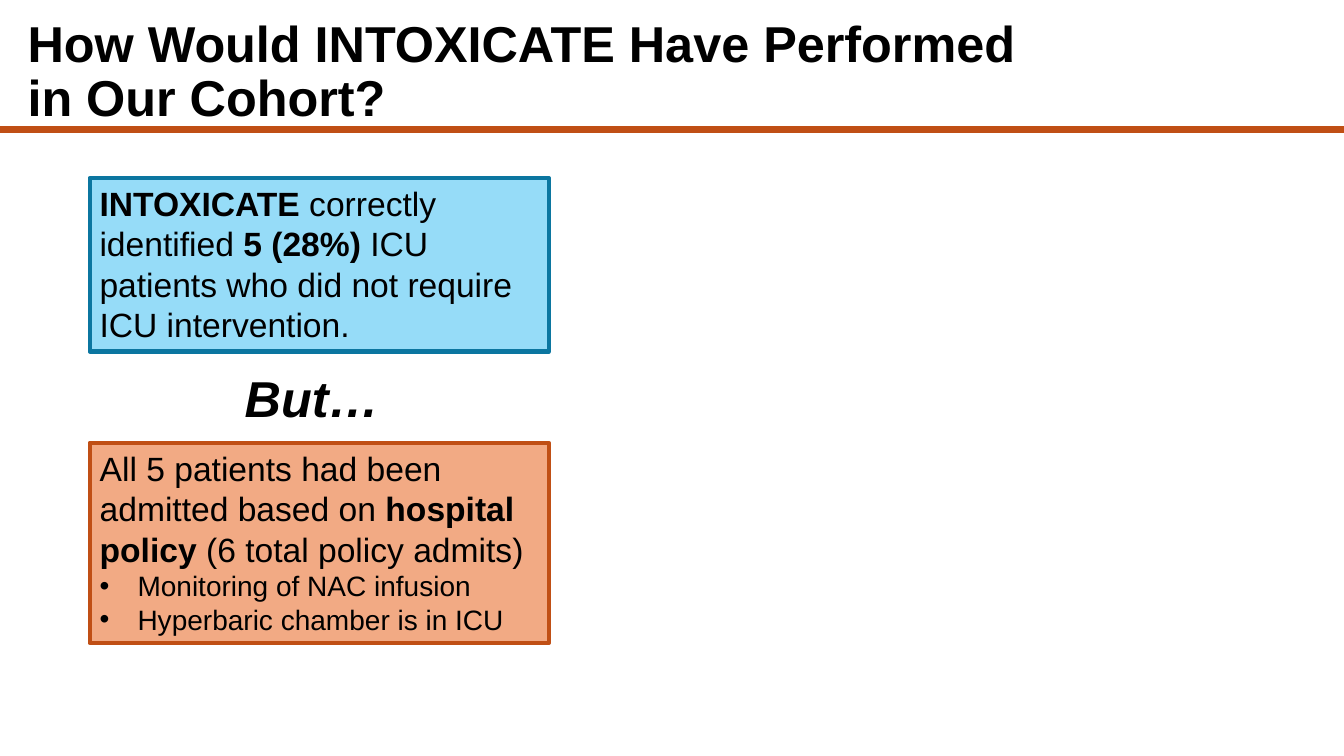
import pptx
import pptx.util
import pptx.dml.color
import pptx.enum.shapes
import pptx.enum.text
import pptx.oxml
import pptx.oxml.ns
from dataclasses import dataclass

Pt = pptx.util.Pt
Align = pptx.enum.text.PP_ALIGN
Anchor = pptx.enum.text.MSO_ANCHOR


@dataclass(frozen=True)
class Theme:
    font: str = "Arial"
    ink: str = "000000"
    rust: str = "C04F15"
    peach: str = "F2AA84"
    blue: str = "0B76A0"
    sky: str = "96DCF8"
    head: int = 36
    text: int = 24
    item: int = 20


class Page:
    def __init__(self, deck, theme):
        self.theme = theme
        self.slide = deck.slides.add_slide(deck.slide_layouts[1])

    def color(self, code):
        return pptx.dml.color.RGBColor.from_string(code)

    def place(self, shape, area):
        shape.left, shape.top, shape.width, shape.height = map(Pt, area)

    def paint(self, shape, fill, edge, width):
        shape.fill.solid()
        shape.fill.fore_color.rgb = self.color(fill)
        shape.line.color.rgb = self.color(edge)
        shape.line.width = Pt(width)

    def frame(self, shape, anchor=Anchor.TOP):
        frame = shape.text_frame
        frame.word_wrap = True
        frame.auto_size = pptx.enum.text.MSO_AUTO_SIZE.NONE
        frame.vertical_anchor = anchor
        return frame

    def fill(self, para, runs, size, italic=False, align=Align.LEFT):
        para.alignment = align
        para.space_before = Pt(0)
        for text, bold in runs:
            run = para.add_run()
            run.text = text.rstrip("\n")
            font = run.font
            font.name, font.size = self.theme.font, Pt(size)
            font.bold, font.italic = bold, italic
            font.color.rgb = self.color(self.theme.ink)
            if text.endswith("\n"):
                para.add_line_break()

    def bullet(self, para, mark=None, indent=0):
        props = para._p.get_or_add_pPr()
        props.set("marL", str(Pt(indent)))
        props.set("indent", str(-Pt(indent)))
        tag = pptx.oxml.ns.qn("a:buChar" if mark else "a:buNone")
        props.append(props.makeelement(tag, {"char": mark} if mark else {}))

    def title(self, area, runs):
        shape = self.slide.shapes.title
        self.place(shape, area)
        para = self.frame(shape, Anchor.MIDDLE).paragraphs[0]
        para.line_spacing = 0.9
        self.fill(para, runs, self.theme.head)

    def block(self, area, fill, edge, width):
        kind = pptx.enum.shapes.MSO_SHAPE.RECTANGLE
        shape = self.slide.shapes.add_shape(kind, *map(Pt, area))
        shape.shadow.inherit = False
        self.paint(shape, fill, edge, width)
        return shape

    def box(self, area, fill, edge, runs):
        shape = self.block(area, fill, edge, 3)
        self.fill(self.frame(shape).paragraphs[0], runs, self.theme.text)

    def label(self, area, text):
        shape = self.slide.shapes.add_textbox(*map(Pt, area))
        para = self.frame(shape).paragraphs[0]
        self.fill(para, [(text, True)], self.theme.head, True, Align.CENTER)

    def list(self, area, fill, edge, runs, items):
        shape = self.slide.placeholders[1]
        self.place(shape, area)
        self.paint(shape, fill, edge, 3)
        frame = self.frame(shape)
        lead = frame.paragraphs[0]
        self.fill(lead, runs, self.theme.text)
        self.bullet(lead)
        for item in items:
            para = frame.add_paragraph()
            self.fill(para, [(item, False)], self.theme.item)
            self.bullet(para, "•", 27)


def main():
    deck = pptx.Presentation()
    deck.slide_width, deck.slide_height = Pt(960), Pt(540)
    theme = Theme()
    page = Page(deck, theme)
    left, width = 64, 328

    page.block((0, 90.7, 960, 3.6), theme.rust, theme.rust, 1.5)
    page.title((12.5, 19.5, 940, 65.5), [
        ("How Would INTOXICATE Have Performed \n", True),
        ("in Our Cohort?", True),
    ])
    page.box((left, 127.2, width, 124), theme.sky, theme.blue, [
        ("INTOXICATE ", True),
        ("correctly identified ", False),
        ("5 (28%)", True),
        (" ICU patients who did not require ICU intervention.", False),
    ])
    page.label((147.5, 258.5, 150.5, 51), "But…")
    page.list((left, 316.3, width, 143), theme.peach, theme.rust, [
        ("All 5 patients had been admitted based on ", False),
        ("hospital policy ", True),
        ("(6 total policy admits)", False),
    ], ["Monitoring of NAC infusion", "Hyperbaric chamber is in ICU"])
    deck.save("out.pptx")


if __name__ == "__main__":
    main()
